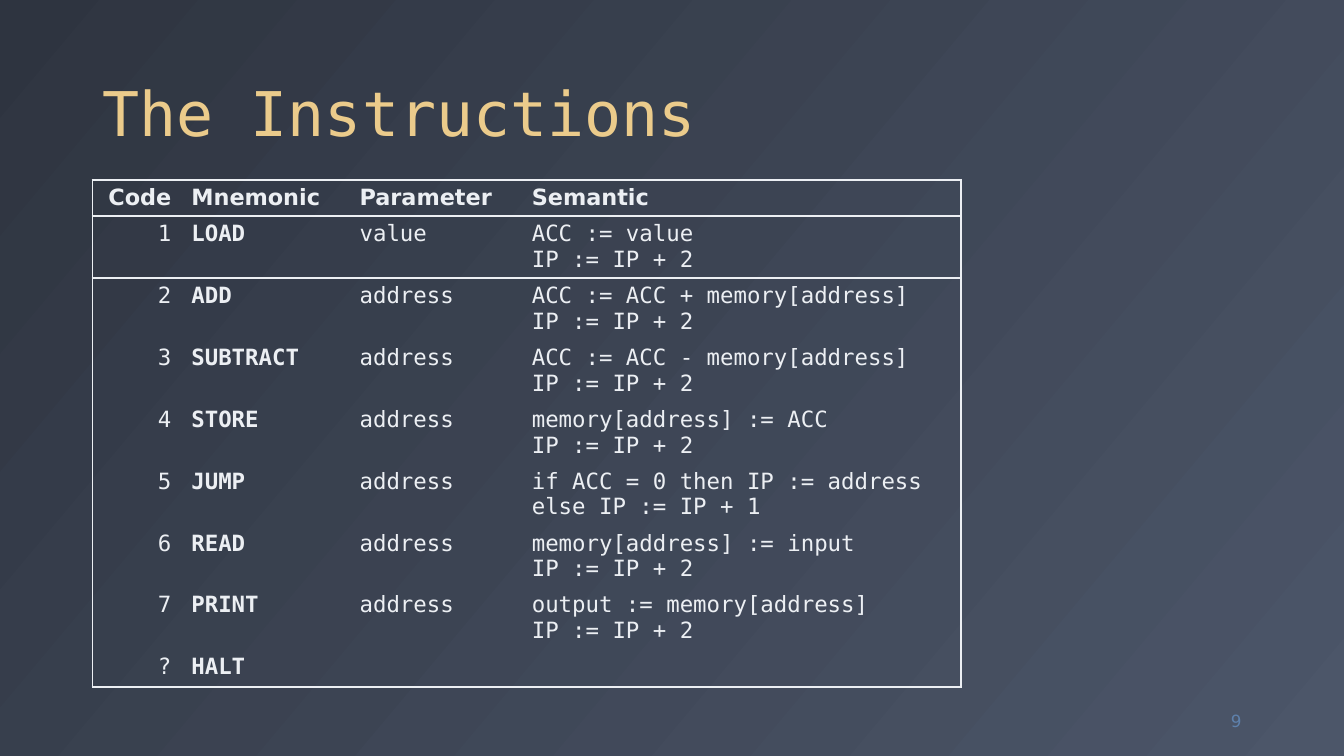
from lxml import etree
from pptx import Presentation
from pptx.dml.color import RGBColor
from pptx.enum.text import MSO_ANCHOR, MSO_AUTO_SIZE, PP_ALIGN
from pptx.oxml.ns import qn
from pptx.util import Cm, Pt

LEFT, RIGHT = PP_ALIGN.LEFT, PP_ALIGN.RIGHT
MIDDLE, BOTTOM = MSO_ANCHOR.MIDDLE, MSO_ANCHOR.BOTTOM
NO_AUTOFIT = MSO_AUTO_SIZE.NONE
TITLE_ONLY = 5

SANS, MONO = "DejaVu Sans", "DejaVu Sans Mono"
DARK, SLATE = "2E3440", "4C5669"
SAND, SNOW, BLUE = "EBCB8B", "ECEFF3", "5E81AC"

HEADER = ["Code", "Mnemonic", "Parameter", "Semantic"]
NEXT = "IP := IP + 2"
INSTRUCTIONS = [
    ("1", "LOAD", "value", ["ACC := value", NEXT]),
    ("2", "ADD", "address", ["ACC := ACC + memory[address]", NEXT]),
    ("3", "SUBTRACT", "address", ["ACC := ACC - memory[address]", NEXT]),
    ("4", "STORE", "address", ["memory[address] := ACC", NEXT]),
    ("5", "JUMP", "address", ["if ACC = 0 then IP := address", "else IP := IP + 1"]),
    ("6", "READ", "address", ["memory[address] := input", NEXT]),
    ("7", "PRINT", "address", ["output := memory[address]", NEXT]),
    ("?", "HALT", "", []),
]
COLUMN_WIDTHS = [2.24, 4.24, 4.34, 11.07]
ONE_LINE, TWO_LINES = 0.9, 1.56
RULED_ROWS = 2  # the header and the first instruction have a line below


def rgb(color):
    return RGBColor.from_string(color)


class Deck:
    def __init__(self, prs):
        self.prs = prs
        self.s = prs.slides.add_slide(prs.slide_layouts[TITLE_ONLY])

    def background(self, start, end, angle):
        fill = self.s.background.fill
        fill.gradient()
        fill.gradient_angle = 360 - angle
        for stop, color in zip(fill.gradient_stops, (start, end)):
            stop.color.rgb = rgb(color)

    def add_lines(self, tf, lines, size, font, color, bold=False, align=LEFT):
        for i, line in enumerate(lines):
            p = tf.paragraphs[0] if i == 0 else tf.add_paragraph()
            p.alignment = align
            r = p.add_run()
            r.text = line
            r.font.size = Pt(size)
            r.font.name = font
            r.font.bold = bold
            r.font.color.rgb = rgb(color)

    def title(self, text, x, y, w, h):
        sp = self.s.shapes.title
        sp.left, sp.top, sp.width, sp.height = Cm(x), Cm(y), Cm(w), Cm(h)
        tf = sp.text_frame
        tf.auto_size = NO_AUTOFIT
        tf.vertical_anchor = BOTTOM
        self.add_lines(tf, [text], 44, MONO, SAND)
        tf.paragraphs[0].line_spacing = 0.9

    def text(self, text, x, y, w, h, size, color, align):
        tf = self.s.shapes.add_textbox(Cm(x), Cm(y), Cm(w), Cm(h)).text_frame
        tf.word_wrap = True
        tf.vertical_anchor = MIDDLE
        self.add_lines(tf, [text], size, SANS, color, align=align)

    def borders(self, cell, sides):
        tc_pr = cell._tc.get_or_add_tcPr()
        for i, side in enumerate("LRTB"):
            ln = etree.Element(qn(f"a:ln{side}"), w=str(Pt(1.5)))
            if side in sides:
                fill = etree.SubElement(ln, qn("a:solidFill"))
                etree.SubElement(fill, qn("a:srgbClr"), val=SNOW)
            else:
                etree.SubElement(ln, qn("a:noFill"))
            tc_pr.insert(i, ln)

    def cell(self, cell, lines, bold, font, align):
        cell.fill.background()
        if lines:
            self.add_lines(cell.text_frame, lines, 16, font, SNOW, bold, align)
        else:
            # An empty cell keeps the text size, so its row stays low
            p = cell.text_frame.paragraphs[0]._p
            etree.SubElement(p, qn("a:endParaRPr"), sz="1600")

    def table(self, x, y):
        rows = [HEADER] + INSTRUCTIONS
        last_row, last_col = len(rows) - 1, len(HEADER) - 1
        heights = [TWO_LINES if isinstance(row[-1], list) and row[-1] else ONE_LINE
                   for row in rows]
        table = self.s.shapes.add_table(
            len(rows), len(HEADER), Cm(x), Cm(y),
            Cm(sum(COLUMN_WIDTHS)), Cm(sum(heights))).table
        table.first_row = table.horz_banding = False
        for column, width in zip(table.columns, COLUMN_WIDTHS):
            column.width = Cm(width)
        for i, row in enumerate(rows):
            table.rows[i].height = Cm(heights[i])
            for j, value in enumerate(row):
                cell = table.cell(i, j)
                lines = value if isinstance(value, list) else [value] if value else []
                self.cell(cell, lines, i == 0 or j == 1,
                          SANS if i == 0 else MONO, RIGHT if j == 0 else LEFT)
                sides = {"L": j == 0, "R": j == last_col,
                         "T": i <= RULED_ROWS,
                         "B": i < RULED_ROWS or i == last_row}
                self.borders(cell, [side for side, shown in sides.items() if shown])


def main():
    prs = Presentation()
    prs.slide_width, prs.slide_height = Cm(33.87), Cm(19.05)
    deck = Deck(prs)
    deck.background(DARK, SLATE, 40)

    # Title
    deck.title("The Instructions", 2.33, 0.46, 29.21, 3.45)

    # Instruction set
    deck.table(2.33, 4.53)

    # Slide number
    deck.text("9", 29.44, 17.66, 2.1, 1.01, 12, BLUE, RIGHT)

    prs.save("out.pptx")


if __name__ == "__main__":
    main()
